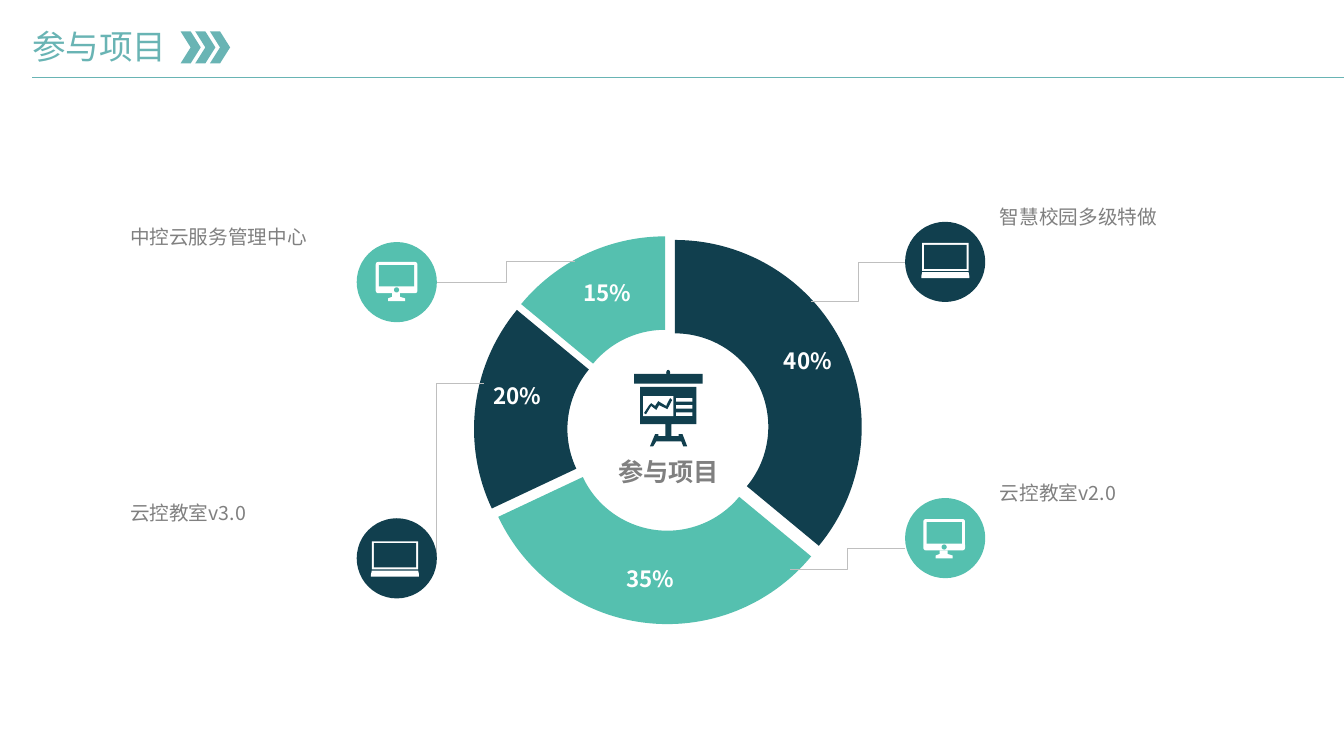
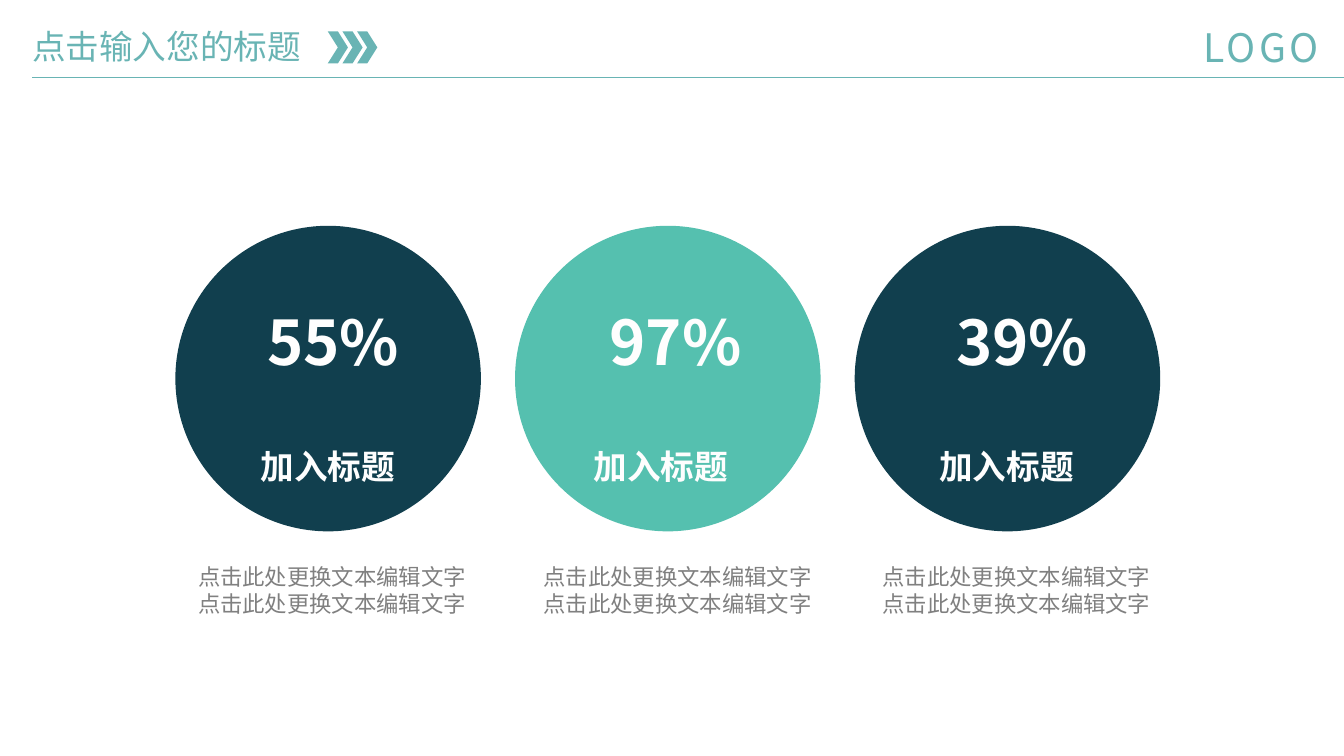
from dataclasses import dataclass

from lxml.etree import SubElement
from pptx import Presentation
from pptx.chart.data import CategoryChartData
from pptx.dml.color import RGBColor
from pptx.enum.chart import XL_CHART_TYPE as ChartType
from pptx.enum.shapes import MSO_CONNECTOR as Connector, MSO_SHAPE as Preset
from pptx.enum.text import MSO_ANCHOR as Anchor, MSO_AUTO_SIZE as AutoSize, PP_ALIGN as Align
from pptx.oxml.ns import qn
from pptx.shapes.autoshape import Shape
from pptx.slide import Slide
from pptx.util import Cm, Pt

FONT = "Noto Sans CJK SC"
NAVY, GREEN, TEAL = "113F4E", "55C0AF", "69B4B4"
WHITE, OFF_WHITE, GRAY, LIGHT_GRAY = "FFFFFF", "FEFEFE", "808080", "BFBFBF"
SLIDE_WIDTH, SLIDE_HEIGHT = 33.87, 19.05
NODE_SIZE = 2.02
DISC_SIZE, DISC_PITCH = 7.7, 8.56
TIGHT = (0.13, 0.08)
ROOMY = (0.25, 0.13)

Points = list[tuple[int, int]]
MONITOR_STAND: Points = [(41, 79), (61, 79), (61, 88), (74, 92), (74, 99), (31, 99), (31, 92), (41, 88)]
LAPTOP_BASE: Points = [(0, 74), (117, 74), (119, 84), (119, 89), (-2, 89), (-2, 84)]
BOARD: Points = [
    (142, 94), (142, 0), (0, 0), (0, 94), (64, 94), (64, 124), (46, 124), (46, 119), (38, 119), (25, 150),
    (33, 150), (41, 137), (104, 137), (109, 150), (119, 150), (107, 119), (97, 119), (97, 124), (79, 124), (79, 94),
]
TREND: Points = [
    (69, 41), (66, 48), (46, 36), (38, 48), (28, 41), (23, 46), (10, 66), (15, 69),
    (28, 48), (41, 58), (48, 46), (69, 56), (81, 33), (76, 28),
]


@dataclass
class Box:
    left: float
    top: float
    width: float
    height: float

    def lengths(self) -> tuple[Cm, Cm, Cm, Cm]:
        return Cm(self.left), Cm(self.top), Cm(self.width), Cm(self.height)


@dataclass
class TextStyle:
    size: int
    color: str
    bold: bool = False
    align: Align = Align.LEFT
    insets: tuple[float, float] = TIGHT
    wrap: bool = True
    tracking: int = 0


@dataclass
class Project:
    name: str
    label_left: float
    node_left: float
    node_top: float
    color: str
    icon: str
    icon_left: float
    icon_top: float


@dataclass
class Share:
    text: str
    value: int
    color: str
    left: float
    top: float


@dataclass
class Leader:
    start: tuple[float, float]
    end: tuple[float, float]
    single_bend: bool = False


@dataclass
class Disc:
    percent: str
    color: str
    percent_left: float
    caption_left: float
    body_left: float


TITLE_STYLE = TextStyle(24, TEAL, insets=(0, 0))
LOGO_STYLE = TextStyle(28, TEAL, insets=(0.2, 0.1), wrap=False, tracking=250)
LABEL_STYLE = TextStyle(14, GRAY)
SHARE_STYLE = TextStyle(16, WHITE, True, Align.CENTER)
CENTER_STYLE = TextStyle(18, GRAY, True, Align.CENTER)
PERCENT_STYLE = TextStyle(44, OFF_WHITE, True, insets=ROOMY, wrap=False)
CAPTION_STYLE = TextStyle(24, OFF_WHITE, True, insets=ROOMY, wrap=False)
BODY_STYLE = TextStyle(16, GRAY, align=Align.CENTER, insets=ROOMY, wrap=False)

PROJECTS = [
    Project("智慧校园多级特做", 25.07, 22.81, 5.59, NAVY, "laptop", 23.24, 6.12),
    Project("云控教室v2.0", 25.07, 22.81, 12.55, GREEN, "monitor", 23.27, 13.08),
    Project("中控云服务管理中心", 3.15, 8.99, 6.1, GREEN, "monitor", 9.47, 6.6),
    Project("云控教室v3.0", 3.15, 8.99, 13.06, NAVY, "laptop", 9.37, 13.64),
]
SHARES = [
    Share("40%", 36, NAVY, 19.51, 8.66),
    Share("35%", 32, GREEN, 15.54, 14.15),
    Share("20%", 18, NAVY, 12.19, 9.55),
    Share("15%", 14, GREEN, 14.45, 6.96),
]
LEADERS = [
    Leader((11, 7.11), (14.5, 6.6)),
    Leader((12.19, 9.65), (11, 14.07), True),
    Leader((22.81, 6.6), (20.45, 7.59)),
    Leader((22.81, 13.82), (19.91, 14.35)),
]
DISCS = [
    Disc("55%", NAVY, 6.48, 6.32, 4.7),
    Disc("97%", GREEN, 15.11, 14.71, 13.41),
    Disc("39%", NAVY, 23.85, 23.42, 21.95),
]


def rgb(color: str) -> RGBColor:
    return RGBColor.from_string(color)


def paint(shape: Shape, color: str) -> None:
    shape.shadow.inherit = False
    shape.fill.solid()
    shape.fill.fore_color.rgb = rgb(color)
    shape.line.fill.background()


def add_preset(slide: Slide, preset: Preset, box: Box, color: str) -> Shape:
    shape = slide.shapes.add_shape(preset, *box.lengths())
    paint(shape, color)
    return shape


def add_outline(slide: Slide, points: Points, left: float, top: float, color: str) -> None:
    builder = slide.shapes.build_freeform(*points[0], scale=float(Cm(0.01)))
    builder.add_line_segments(points[1:], close=True)
    paint(builder.convert_to_shape(Cm(left), Cm(top)), color)


def write(shape: Shape, lines: list[str], style: TextStyle) -> None:
    frame = shape.text_frame
    frame.word_wrap = style.wrap
    frame.auto_size = AutoSize.NONE
    frame.vertical_anchor = Anchor.TOP
    frame.margin_left = frame.margin_right = Cm(style.insets[0])
    frame.margin_top = frame.margin_bottom = Cm(style.insets[1])
    frame.text = "\n".join(lines)
    for paragraph in frame.paragraphs:
        paragraph.alignment = style.align
        font = paragraph.font
        font.size = Pt(style.size)
        font.bold = style.bold
        font.color.rgb = rgb(style.color)
        font.name = FONT
        properties = paragraph._p.pPr.find(qn("a:defRPr"))
        SubElement(properties, qn("a:ea"), typeface=FONT)
        if style.tracking:
            properties.set("spc", str(style.tracking))


def add_text(slide: Slide, box: Box, lines: list[str], style: TextStyle) -> None:
    write(slide.shapes.add_textbox(*box.lengths()), lines, style)


def add_line(slide: Slide, kind: Connector, start: tuple[float, float], end: tuple[float, float], color: str):
    line = slide.shapes.add_connector(kind, Cm(start[0]), Cm(start[1]), Cm(end[0]), Cm(end[1]))
    line.line.color.rgb = rgb(color)
    line.line.width = Pt(0.5)
    SubElement(line._element.spPr, qn("a:effectLst"))
    return line


def add_titled_slide(presentation: Presentation, title: str, chevron_left: float) -> Slide:
    slide = presentation.slides.add_slide(presentation.slide_layouts[5])
    add_line(slide, Connector.STRAIGHT, (0.81, 1.96), (SLIDE_WIDTH, 1.96), TEAL)
    shape = slide.shapes.title
    shape.left, shape.top, shape.width, shape.height = Box(0.81, 0.66, 7.14, 1.02).lengths()
    write(shape, [title], TITLE_STYLE)
    for index in range(3):
        add_preset(slide, Preset.CHEVRON, Box(chevron_left + 0.37 * index, 0.79, 0.51, 0.81), TEAL)
    return slide


def add_doughnut(slide: Slide) -> None:
    data = CategoryChartData()
    data.categories = [str(number) for number in range(1, len(SHARES) + 1)]
    data.add_series("Series 1", [share.value for share in SHARES])
    box = Box(10.72, 5.59, 12.24, 10.49)
    chart = slide.shapes.add_chart(ChartType.DOUGHNUT, *box.lengths(), data).chart
    chart.has_title = False
    chart.has_legend = False
    chart.font.name = FONT
    chart.font.size = Pt(18)
    chart.font.color.rgb = rgb("000000")
    plot = chart.plots[0]
    plot.vary_by_categories = True
    plot._element.find(qn("c:holeSize")).set("val", "64")
    series = plot.series[0]
    for index, share in enumerate(SHARES):
        fill = series.points[index].format.fill
        fill.solid()
        fill.fore_color.rgb = rgb(share.color)
    explosion = SubElement(series._element, qn("c:explosion"), val="8")
    series._element.find(qn("c:dPt")).addprevious(explosion)


def add_monitor(slide: Slide, left: float, top: float, screen_color: str) -> None:
    case = add_preset(slide, Preset.ROUNDED_RECTANGLE, Box(left, top, 1.05, 0.79), WHITE)
    case.adjustments[0] = 0.08
    add_preset(slide, Preset.RECTANGLE, Box(left + 0.08, top + 0.08, 0.89, 0.54), screen_color)
    add_preset(slide, Preset.OVAL, Box(left + 0.46, top + 0.64, 0.13, 0.13), screen_color)
    add_outline(slide, MONITOR_STAND, left, top, WHITE)


def add_laptop(slide: Slide, left: float, top: float, screen_color: str) -> None:
    add_preset(slide, Preset.RECTANGLE, Box(left, top, 1.17, 0.71), WHITE)
    add_preset(slide, Preset.RECTANGLE, Box(left + 0.05, top + 0.05, 1.07, 0.61), screen_color)
    add_outline(slide, LAPTOP_BASE, left, top, WHITE)


def add_easel(slide: Slide, left: float, top: float) -> None:
    add_preset(slide, Preset.RECTANGLE, Box(left - 0.15, top - 0.33, 1.73, 0.25), NAVY)
    add_preset(slide, Preset.OVAL, Box(left + 0.66, top - 0.43, 0.1, 0.15), NAVY)
    add_outline(slide, BOARD, left, top, NAVY)
    add_preset(slide, Preset.RECTANGLE, Box(left + 0.08, top + 0.23, 0.76, 0.51), WHITE)
    for index in range(3):
        add_preset(slide, Preset.RECTANGLE, Box(left + 0.91, top + 0.28 + 0.18 * index, 0.41, 0.09), WHITE)
    add_outline(slide, TREND, left, top, NAVY)


def build_projects(presentation: Presentation) -> None:
    slide = add_titled_slide(presentation, "参与项目", 4.55)
    add_doughnut(slide)
    for leader in LEADERS:
        line = add_line(slide, Connector.ELBOW, leader.start, leader.end, LIGHT_GRAY)
        if leader.single_bend:
            line._element.spPr.find(qn("a:prstGeom")).set("prst", "bentConnector2")
    icons = {"monitor": add_monitor, "laptop": add_laptop}
    for project in PROJECTS:
        add_text(slide, Box(project.label_left, project.node_top - 0.51, 5.66, 0.74), [project.name], LABEL_STYLE)
        node = Box(project.node_left, project.node_top, NODE_SIZE, NODE_SIZE)
        add_preset(slide, Preset.OVAL, node, project.color)
        icons[project.icon](slide, project.icon_left, project.icon_top, project.color)
    for share in SHARES:
        add_text(slide, Box(share.left, share.top, 1.7, 0.81), [share.text], SHARE_STYLE)
    add_text(slide, Box(14.86, 11.43, 3.99, 0.89), ["参与项目"], CENTER_STYLE)
    add_easel(slide, 16.13, 9.75)


def build_discs(presentation: Presentation) -> None:
    slide = add_titled_slide(presentation, "点击输入您的标题", 8.26)
    add_text(slide, Box(30.12, 0.48, 3.61, 1.4), ["LOGO"], LOGO_STYLE)
    for index, disc in enumerate(DISCS):
        add_preset(slide, Preset.OVAL, Box(4.42 + DISC_PITCH * index, 5.69, DISC_SIZE, DISC_SIZE), disc.color)
        add_text(slide, Box(disc.percent_left, 7.52, 4.1, 2.13), [disc.percent], PERCENT_STYLE)
        add_text(slide, Box(disc.caption_left, 11.1, 3.96, 1.27), ["加入标题"], CAPTION_STYLE)
        add_text(slide, Box(disc.body_left, 14.07, 7.34, 1.63), ["点击此处更换文本编辑文字"] * 2, BODY_STYLE)


def main() -> None:
    presentation = Presentation()
    presentation.slide_width = Cm(SLIDE_WIDTH)
    presentation.slide_height = Cm(SLIDE_HEIGHT)
    build_projects(presentation)
    build_discs(presentation)
    presentation.save("out.pptx")


if __name__ == "__main__":
    main()
